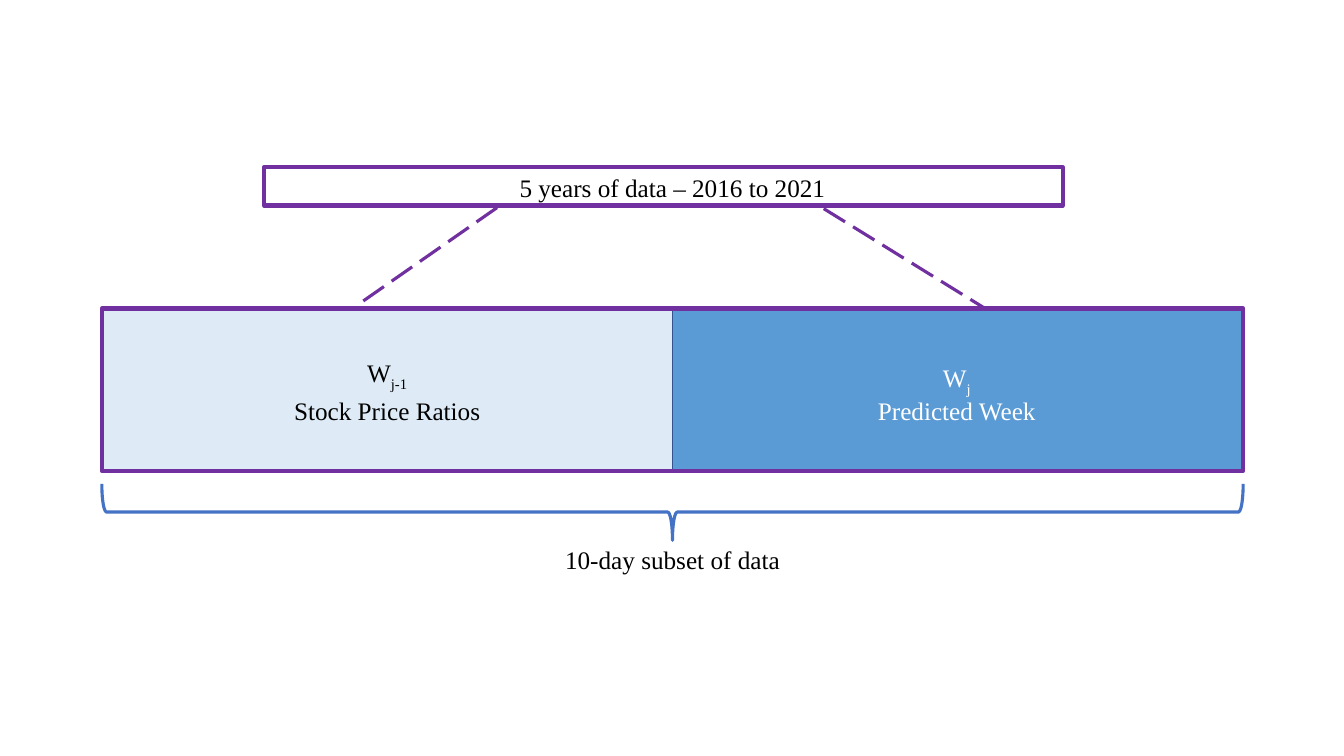
from dataclasses import dataclass
from typing import Optional

from lxml.etree import SubElement
from pptx import Presentation
from pptx.dml.color import RGBColor
from pptx.enum.dml import MSO_LINE
from pptx.enum.shapes import MSO_CONNECTOR, MSO_SHAPE
from pptx.enum.text import MSO_AUTO_SIZE, PP_ALIGN
from pptx.oxml.ns import qn
from pptx.slide import Slide
from pptx.util import Emu, Pt

EMU_PER_PX = 9144


@dataclass(frozen=True)
class Theme:
    font: str = "Times New Roman"
    text_size: float = 18
    thin: float = 1
    medium: float = 2.25
    thick: float = 3
    subscript: str = "-25000"
    black: RGBColor = RGBColor(0x00, 0x00, 0x00)
    white: RGBColor = RGBColor(0xFF, 0xFF, 0xFF)
    purple: RGBColor = RGBColor(0x70, 0x30, 0xA0)
    navy: RGBColor = RGBColor(0x32, 0x54, 0x91)
    brace_blue: RGBColor = RGBColor(0x44, 0x72, 0xC4)
    pale_blue: RGBColor = RGBColor(0xDE, 0xEB, 0xF7)
    mid_blue: RGBColor = RGBColor(0x5B, 0x9B, 0xD5)


THEME = Theme()


@dataclass(frozen=True)
class Block:
    left: int
    top: int
    width: int
    height: int
    line: RGBColor
    weight: float
    fill: Optional[RGBColor] = None
    preset: MSO_SHAPE = MSO_SHAPE.RECTANGLE
    rotation: int = 0


@dataclass(frozen=True)
class Label:
    left: int
    top: int
    text: str
    color: RGBColor = THEME.black
    subscript: str = ""


@dataclass(frozen=True)
class Dash:
    start_x: int
    start_y: int
    end_x: int
    end_y: int


SLIDE_WIDTH, SLIDE_HEIGHT = 1333, 750
LABEL_WIDTH, LABEL_HEIGHT = 348, 40
WEEK_LEFT, WEEK_TOP, WEEK_WIDTH, WEEK_HEIGHT = 101, 306, 566, 161
SUBSET_WIDTH = 2 * WEEK_WIDTH
MIDDLE = WEEK_LEFT + WEEK_WIDTH
BRACE_DEPTH, BRACE_CENTER = 56, 508
CENTER_LABEL, PREVIOUS_LABEL, PREDICTED_LABEL = 493, 210, 775

BACK_BLOCKS = [
    Block(MIDDLE, WEEK_TOP, WEEK_WIDTH, WEEK_HEIGHT, THEME.navy, THEME.thin, THEME.mid_blue),
    Block(WEEK_LEFT, WEEK_TOP, WEEK_WIDTH, WEEK_HEIGHT, THEME.navy, THEME.thin, THEME.pale_blue),
    Block(262, 166, 792, 38, THEME.purple, THEME.thick),
]
DASHES = [Dash(493, 206, 354, 303), Dash(817, 207, 977, 306)]
FRONT_BLOCKS = [
    Block(WEEK_LEFT, WEEK_TOP, SUBSET_WIDTH, WEEK_HEIGHT, THEME.purple, THEME.thick),
    Block(MIDDLE - BRACE_DEPTH // 2, BRACE_CENTER - SUBSET_WIDTH // 2, BRACE_DEPTH, SUBSET_WIDTH,
          THEME.brace_blue, THEME.medium, preset=MSO_SHAPE.LEFT_BRACE, rotation=270),
]
LABELS = [
    Label(CENTER_LABEL, 166, "5 years of data – 2016 to 2021"),
    Label(CENTER_LABEL, 535, "10-day subset of data"),
    Label(PREVIOUS_LABEL, 387, "Stock Price Ratios"),
    Label(PREDICTED_LABEL, 387, "Predicted Week", THEME.white),
    Label(PREVIOUS_LABEL, 350, "W", subscript="j-1"),
    Label(PREDICTED_LABEL, 355, "W", THEME.white, "j"),
]


def px(value: int) -> Emu:
    return Emu(value * EMU_PER_PX)


def draw_block(slide: Slide, block: Block) -> None:
    shape = slide.shapes.add_shape(
        block.preset, px(block.left), px(block.top), px(block.width), px(block.height))
    shape.shadow.inherit = False
    shape.rotation = block.rotation
    if block.fill is None:
        shape.fill.background()
    else:
        shape.fill.solid()
        shape.fill.fore_color.rgb = block.fill
    shape.line.color.rgb = block.line
    shape.line.width = Pt(block.weight)


def draw_dash(slide: Slide, dash: Dash) -> None:
    connector = slide.shapes.add_connector(
        MSO_CONNECTOR.STRAIGHT,
        px(dash.start_x), px(dash.start_y), px(dash.end_x), px(dash.end_y))
    connector.line.color.rgb = THEME.purple
    connector.line.width = Pt(THEME.medium)
    connector.line.dash_style = MSO_LINE.LONG_DASH
    SubElement(connector._element.spPr, qn("a:effectLst"))


def draw_label(slide: Slide, label: Label) -> None:
    text_box = slide.shapes.add_textbox(
        px(label.left), px(label.top), px(LABEL_WIDTH), px(LABEL_HEIGHT))
    text_frame = text_box.text_frame
    text_frame.word_wrap = True
    text_frame.auto_size = MSO_AUTO_SIZE.SHAPE_TO_FIT_TEXT
    paragraph = text_frame.paragraphs[0]
    paragraph.alignment = PP_ALIGN.CENTER
    paragraph.font.name = THEME.font
    paragraph.font.size = Pt(THEME.text_size)
    paragraph.font.color.rgb = label.color
    paragraph.add_run().text = label.text
    if label.subscript:
        subscript = paragraph.add_run()
        subscript.text = label.subscript
        subscript._r.get_or_add_rPr().set("baseline", THEME.subscript)


def main() -> None:
    presentation = Presentation()
    presentation.slide_width = px(SLIDE_WIDTH)
    presentation.slide_height = px(SLIDE_HEIGHT)
    slide = presentation.slides.add_slide(presentation.slide_layouts[6])
    for block in BACK_BLOCKS:
        draw_block(slide, block)
    for dash in DASHES:
        draw_dash(slide, dash)
    for block in FRONT_BLOCKS:
        draw_block(slide, block)
    for label in LABELS:
        draw_label(slide, label)
    presentation.save("out.pptx")


if __name__ == "__main__":
    main()
